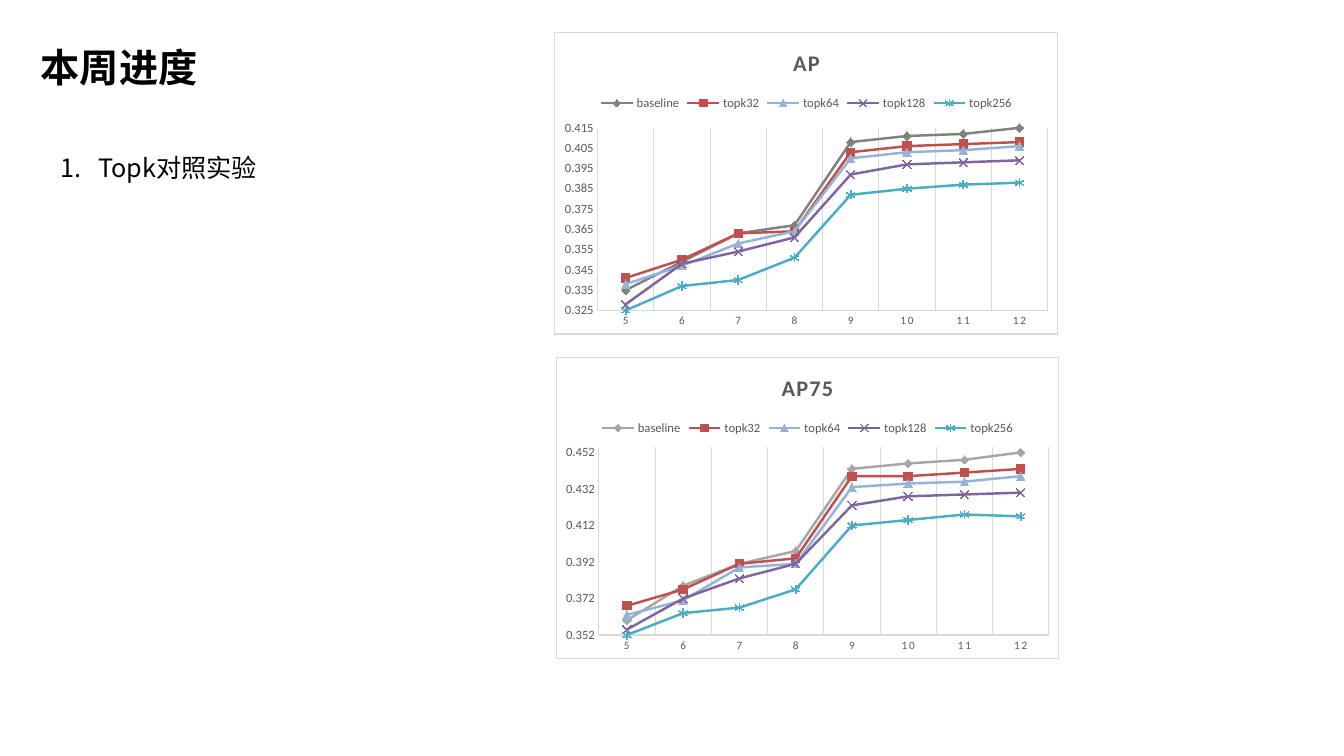
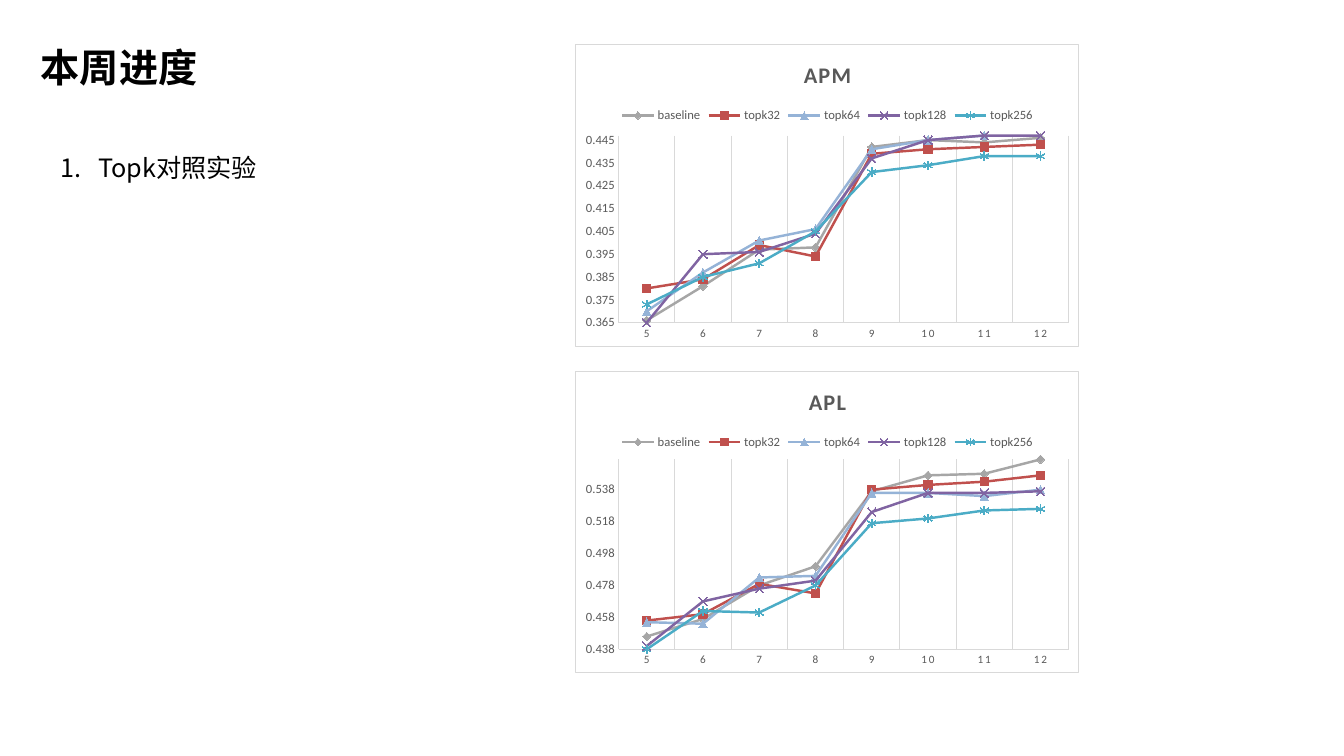
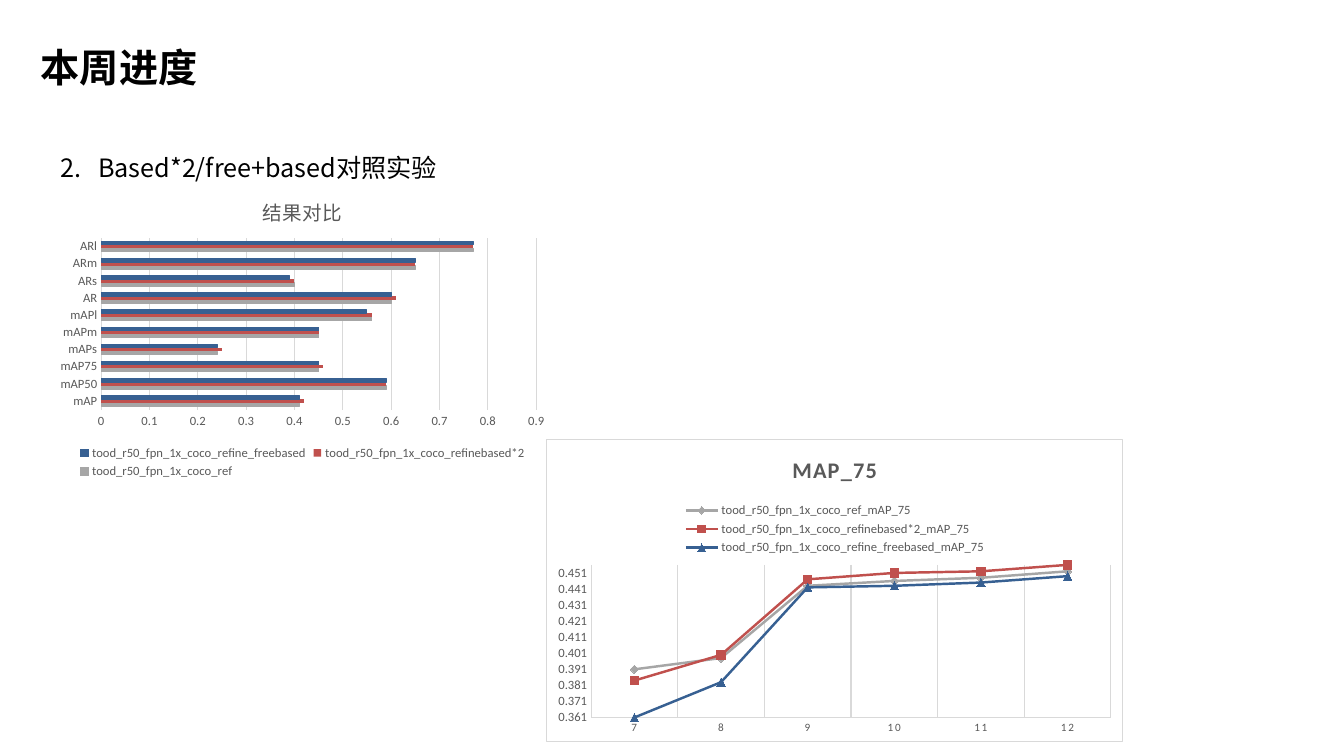
import dataclasses

import lxml.etree
import pptx
import pptx.chart.data
import pptx.dml.color
import pptx.enum.chart
import pptx.enum.text
import pptx.oxml
import pptx.oxml.ns
import pptx.util

Cm = pptx.util.Cm
Pt = pptx.util.Pt
qn = pptx.oxml.ns.qn
ChartType = pptx.enum.chart.XL_CHART_TYPE
Legend = pptx.enum.chart.XL_LEGEND_POSITION
Marker = pptx.enum.chart.XL_MARKER_STYLE
NO_TICK = pptx.enum.chart.XL_TICK_MARK.NONE


@dataclasses.dataclass(frozen=True)
class Theme:
    """Colours, fonts and sizes shared by the deck."""
    ink: str = "000000"
    label: str = "595959"
    rule: str = "D9D9D9"
    paper: str = "FFFFFF"
    dark_gray: str = "808080"
    gray: str = "A6A6A6"
    red: str = "C0504D"
    light_blue: str = "95B3D7"
    purple: str = "8064A2"
    teal: str = "4BACC6"
    blue: str = "376092"
    text_font: str = "Noto Sans CJK SC"
    chart_font: str = "Calibri"
    heading: int = 28
    item: int = 18
    line_title: int = 16
    bar_title: int = 14
    chart_text: int = 10
    small: int = 9
    tiny: int = 8
    hairline: float = 0.75
    curve: float = 1.75
    marker: int = 6


THEME = Theme()
MARKERS = [Marker.DIAMOND, Marker.SQUARE, Marker.TRIANGLE, Marker.X, Marker.STAR]
OPEN_MARKERS = (Marker.X, Marker.STAR)
TOPK_NAMES = ["baseline", "topk32", "topk64", "topk128", "topk256"]
TOPK_COLORS = [THEME.gray, THEME.red, THEME.light_blue, THEME.purple, THEME.teal]
MODELS = ["ref", "refinebased*2", "refine_freebased"]
MODEL_COLORS = [THEME.gray, THEME.red, THEME.blue]
CHART_WIDTH, CHART_HEIGHT = 12.7, 7.62


def apply(target, values):
    """Set each named value on the target."""
    for name, value in values.items():
        setattr(target, name, value)


def rgb(color):
    """Return a colour object for a hex string."""
    return pptx.dml.color.RGBColor.from_string(color)


def set_font(font, size, color, name=THEME.chart_font, bold=False):
    """Format a font."""
    apply(font, {"size": Pt(size), "name": name, "bold": bold})
    font.color.rgb = rgb(color)


def set_line(line, color, width=THEME.hairline):
    """Format a line with a solid colour."""
    line.color.rgb = rgb(color)
    line.width = Pt(width)


def set_fill(fill, color):
    """Format a fill with a solid colour."""
    fill.solid()
    fill.fore_color.rgb = rgb(color)


def write_text(placeholder, box, text, size, bold, align, wrap):
    """Place a placeholder in its box and write one paragraph in it."""
    apply(placeholder, dict(zip(("left", "top", "width", "height"), map(Cm, box))))
    frame = placeholder.text_frame
    apply(frame, {"word_wrap": wrap,
                  "vertical_anchor": pptx.enum.text.MSO_ANCHOR.TOP,
                  "auto_size": pptx.enum.text.MSO_AUTO_SIZE.SHAPE_TO_FIT_TEXT})
    paragraph = frame.paragraphs[0]
    apply(paragraph, {"alignment": align, "line_spacing": 1.5,
                      "space_before": Pt(0), "space_after": Pt(0)})
    run = paragraph.add_run()
    run.text = text
    set_font(run.font, size, THEME.ink, THEME.text_font, bold)
    east_asian = lxml.etree.SubElement(run._r.get_or_add_rPr(), qn("a:ea"))
    east_asian.set("typeface", THEME.text_font)
    return paragraph


def add_progress_slide(deck, topic, number):
    """Add a slide with the weekly heading and one numbered topic."""
    slide = deck.slides.add_slide(deck.slide_layouts[1])
    align = pptx.enum.text.PP_ALIGN
    write_text(slide.shapes.title, (0.74, 0.38, 4.52, 1.83), "本周进度",
               THEME.heading, True, align.CENTER, False)
    item = write_text(slide.placeholders[1], (1.27, 3.33, 31.32, 1.3), topic,
                      THEME.item, False, align.LEFT, True)
    properties = item._p.get_or_add_pPr()
    properties.set("marL", str(Cm(0.95)))
    properties.set("indent", str(-Cm(0.95)))
    lxml.etree.SubElement(properties, qn("a:buFont")).set("typeface", THEME.text_font)
    numbering = lxml.etree.SubElement(properties, qn("a:buAutoNum"))
    numbering.set("type", "arabicPeriod")
    numbering.set("startAt", str(number))
    return slide


def add_chart(slide, kind, box, title, title_size, bold, legend, categories, rows):
    """Add a chart with the shared title, legend and axis style."""
    data = pptx.chart.data.CategoryChartData()
    data.categories = categories
    for name, values in rows:
        data.add_series(name, values)
    chart = slide.shapes.add_chart(kind, *map(Cm, box), data).chart
    set_font(chart.font, THEME.chart_text, THEME.ink)
    heading = chart.chart_title.text_frame.paragraphs[0].add_run()
    heading.text = title
    set_font(heading.font, title_size, THEME.label, bold=bold)
    chart.has_legend = True
    apply(chart.legend, {"position": legend, "include_in_layout": False})
    set_font(chart.legend.font, THEME.small, THEME.label)
    for axis in (chart.category_axis, chart.value_axis):
        apply(axis, {"major_tick_mark": NO_TICK, "minor_tick_mark": NO_TICK})
        set_font(axis.tick_labels.font, THEME.small, THEME.label)
        set_line(axis.format.line, THEME.rule)
    chart.plots[0].vary_by_categories = False
    return chart


def set_gridlines(chart, gridded, plain):
    """Draw gridlines across one axis only."""
    plain.has_major_gridlines = False
    gridded.has_major_gridlines = True
    set_line(gridded.major_gridlines.format.line, THEME.rule)


def set_chart_area(chart, fill, line):
    """Give the chart area its fill and border markup."""
    area = pptx.oxml.parse_xml(
        f'<c:spPr {pptx.oxml.ns.nsdecls("c", "a")}>{fill}'
        f'<a:ln w="{Pt(THEME.hairline)}">{line}</a:ln></c:spPr>')
    chart.element.find(qn("c:chart")).addnext(area)


def solid(color):
    """Return solid fill markup."""
    return f'<a:solidFill><a:srgbClr val="{color}"/></a:solidFill>'


def add_line_chart(slide, box, title, epochs, rows, colors, scale):
    """Add a framed line chart of a score by epoch."""
    chart = add_chart(slide, ChartType.LINE_MARKERS, box, title, THEME.line_title,
                      True, Legend.TOP, [str(epoch) for epoch in epochs], rows)
    set_gridlines(chart, chart.category_axis, chart.value_axis)
    set_chart_area(chart, solid(THEME.paper), solid(THEME.rule))
    apply(chart.value_axis, dict(zip(
        ("minimum_scale", "maximum_scale", "major_unit"), scale)))
    chart.category_axis.tick_labels.font.size = Pt(THEME.tiny)
    for path_to_text, spacing in (("//c:title//a:rPr", 100), ("//c:catAx//a:defRPr", 120)):
        for properties in chart.element.xpath(path_to_text):
            properties.set("spc", str(spacing))
    for curve, color, style in zip(chart.plots[0].series, colors, MARKERS):
        curve.smooth = False
        set_line(curve.format.line, color, THEME.curve)
        apply(curve.marker, {"style": style, "size": THEME.marker})
        set_line(curve.marker.format.line, color)
        if style in OPEN_MARKERS:
            curve.marker.format.fill.background()
        else:
            set_fill(curve.marker.format.fill, color)


def add_topk_chart(slide, left, top, title, scores, scale, baseline=THEME.gray):
    """Add a line chart that compares the top-k settings."""
    add_line_chart(slide, (left, top, CHART_WIDTH, CHART_HEIGHT), title, range(5, 13),
                   list(zip(TOPK_NAMES, scores)), [baseline] + TOPK_COLORS[1:], scale)


def add_result_bars(slide, box, title, metrics, rows):
    """Add the bar chart that compares the models by metric."""
    chart = add_chart(slide, ChartType.BAR_CLUSTERED, box, title, THEME.bar_title,
                      False, Legend.BOTTOM, metrics, rows)
    set_gridlines(chart, chart.value_axis, chart.category_axis)
    set_chart_area(chart, "<a:noFill/>", "<a:noFill/>")
    chart.value_axis.format.line.fill.background()
    chart.plots[0].gap_width = 182
    for bars, color in zip(chart.plots[0].series, MODEL_COLORS):
        set_fill(bars.format.fill, color)
        if color == THEME.red:
            bars.format.line.fill.background()
        else:
            set_line(bars.format.line, color)


def model_rows(suffix, scores):
    """Pair each model's full name with its scores."""
    return [(f"tood_r50_fpn_1x_coco_{model}{suffix}", values)
            for model, values in zip(MODELS, scores)]


AP = [
    (0.335, 0.349, 0.363, 0.367, 0.408, 0.411, 0.412, 0.415),
    (0.341, 0.35, 0.363, 0.364, 0.403, 0.406, 0.407, 0.408),
    (0.338, 0.347, 0.358, 0.364, 0.4, 0.403, 0.404, 0.406),
    (0.328, 0.348, 0.354, 0.361, 0.392, 0.397, 0.398, 0.399),
    (0.325, 0.337, 0.34, 0.351, 0.382, 0.385, 0.387, 0.388),
]
AP75 = [
    (0.36, 0.379, 0.391, 0.398, 0.443, 0.446, 0.448, 0.452),
    (0.368, 0.377, 0.391, 0.394, 0.439, 0.439, 0.441, 0.443),
    (0.363, 0.371, 0.389, 0.391, 0.433, 0.435, 0.436, 0.439),
    (0.355, 0.372, 0.383, 0.391, 0.423, 0.428, 0.429, 0.43),
    (0.352, 0.364, 0.367, 0.377, 0.412, 0.415, 0.418, 0.417),
]
APM = [
    (0.366, 0.381, 0.397, 0.398, 0.442, 0.445, 0.444, 0.446),
    (0.38, 0.384, 0.399, 0.394, 0.439, 0.441, 0.442, 0.443),
    (0.37, 0.387, 0.401, 0.406, 0.441, 0.445, 0.447, 0.45),
    (0.365, 0.395, 0.396, 0.404, 0.437, 0.445, 0.447, 0.447),
    (0.373, 0.385, 0.391, 0.405, 0.431, 0.434, 0.438, 0.438),
]
APL = [
    (0.446, 0.457, 0.478, 0.49, 0.537, 0.547, 0.548, 0.557),
    (0.456, 0.46, 0.479, 0.473, 0.538, 0.541, 0.543, 0.547),
    (0.455, 0.454, 0.483, 0.484, 0.536, 0.536, 0.534, 0.538),
    (0.44, 0.468, 0.476, 0.481, 0.524, 0.536, 0.536, 0.537),
    (0.438, 0.462, 0.461, 0.478, 0.517, 0.52, 0.525, 0.526),
]
METRICS = ["mAP", "mAP50", "mAP75", "mAPs", "mAPm", "mAPl", "AR", "ARs", "ARm", "ARl"]
RESULTS = [
    (0.41, 0.59, 0.45, 0.24, 0.45, 0.56, 0.6, 0.4, 0.65, 0.77),
    (0.42, 0.59, 0.46, 0.25, 0.45, 0.56, 0.61, 0.4, 0.65, 0.77),
    (0.41, 0.59, 0.45, 0.24, 0.45, 0.55, 0.6, 0.39, 0.65, 0.77),
]
MAP_75 = [
    (0.391, 0.398, 0.443, 0.446, 0.448, 0.452),
    (0.384, 0.4, 0.447, 0.451, 0.452, 0.456),
    (0.361, 0.383, 0.442, 0.443, 0.445, 0.449),
]

deck = pptx.Presentation()
apply(deck, {"slide_width": Cm(33.87), "slide_height": Cm(19.05)})

overall = add_progress_slide(deck, "Topk对照实验", 1)
add_topk_chart(overall, 13.97, 0.81, "AP", AP, (0.325, 0.415, 0.01), THEME.dark_gray)
add_topk_chart(overall, 14, 8.99, "AP75", AP75, (0.352, 0.455, 0.02))

by_size = add_progress_slide(deck, "Topk对照实验", 1)
add_topk_chart(by_size, 14.5, 1.12, "APM", APM, (0.365, 0.447, 0.01))
add_topk_chart(by_size, 14.5, 9.35, "APL", APL, (0.438, 0.557, 0.02))

models = add_progress_slide(deck, "Based*2/free+based对照实验", 2)
add_result_bars(models, (1.27, 4.55, CHART_WIDTH, CHART_HEIGHT), "结果对比",
                METRICS, model_rows("", RESULTS))
add_line_chart(models, (13.77, 11.07, 14.53, CHART_HEIGHT), "MAP_75", range(7, 13),
               model_rows("_mAP_75", MAP_75), MODEL_COLORS, (0.361, 0.456, 0.01))

deck.save("out.pptx")
